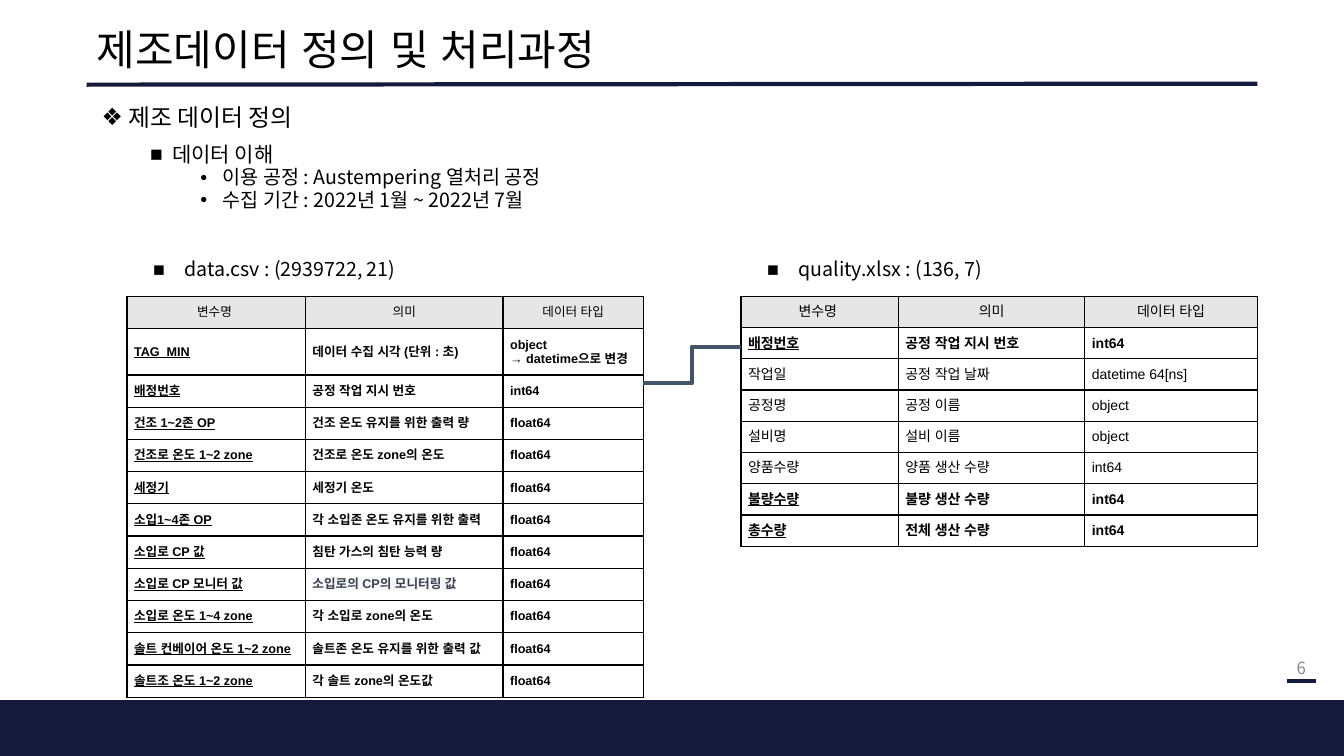
from dataclasses import dataclass

from lxml.etree import SubElement
from pptx import Presentation
from pptx.dml.color import RGBColor as Color
from pptx.enum.shapes import MSO_CONNECTOR as Connector, MSO_SHAPE as Shape
from pptx.enum.text import MSO_ANCHOR as Anchor, PP_ALIGN as Align
from pptx.oxml import parse_xml
from pptx.oxml.ns import nsdecls, qn
from pptx.util import Inches, Pt


@dataclass(frozen=True)
class Theme:
    navy: str = "141A3C"
    black: str = "000000"
    header: str = "E7E6E6"
    gray: str = "888888"
    slate: str = "44546A"
    quote: str = "374151"
    quote_back: str = "F7F7F8"
    title_font: str = "Arial"
    body_font: str = "Noto Sans CJK KR"
    title: int = 30
    heading: int = 17
    subheading: int = 15
    item: int = 14
    number: int = 12


THEME = Theme()
WIDTH, HEIGHT = 13.33, 7.5
LEFT, CONTENT = 0.86, 11.61
TABLE_WIDTH, TABLE_TOP = 5.12, 2.94
DATA_LEFT, QUALITY_LEFT = 1.26, 7.35
QUOTED = "소입로의 CP의 모니터링 값"

# Text, level, left margin, hanging indent, bullet, size, space after
OUTLINE = [
    (" 제조 데이터 정의", 0, 0.25, 0.2, "❖", THEME.heading, 8),
    ("데이터 이해", 1, 0.75, 0.22, "■", THEME.subheading, 0),
    ("이용 공정 : Austempering 열처리 공정", 2, 1.25, 0.22, "•", THEME.item, 0),
    ("수집 기간 : 2022년 1월 ~ 2022년 7월", 2, 1.25, 0.22, "•", THEME.item, 0),
]
HEADER = ("변수명 ", "의미", "데이터 타입")
DATA_ROWS = [
    ("TAG_MIN", "데이터 수집 시각 (단위 : 초)", "object\n→ datetime으로 변경"),
    ("배정번호", "공정 작업 지시 번호", "int64"),
    ("건조 1~2존 OP", "건조 온도 유지를 위한 출력 량", "float64"),
    ("건조로 온도 1~2 zone", "건조로 온도 zone의 온도", "float64"),
    ("세정기", "세정기 온도", "float64"),
    ("소입1~4존 OP", "각 소입존 온도 유지를 위한 출력", "float64"),
    ("소입로 CP 값", "침탄 가스의 침탄 능력 량", "float64"),
    ("소입로 CP 모니터 값", QUOTED, "float64"),
    ("소입로 온도 1~4 zone", "각 소입로 zone의 온도", "float64"),
    ("솔트 컨베이어 온도 1~2 zone", "솔트존 온도 유지를 위한 출력 값", "float64"),
    ("솔트조 온도 1~2 zone", "각 솔트 zone의 온도값", "float64"),
]
QUALITY_ROWS = [
    ("배정번호", "공정 작업 지시 번호", "int64"),
    ("작업일", "공정 작업 날짜", "datetime 64[ns]"),
    ("공정명", "공정 이름", "object"),
    ("설비명", "설비 이름", "object"),
    ("양품수량", "양품 생산 수량", "int64"),
    ("불량수량", "불량 생산 수량", "int64"),
    ("총수량", "전체 생산 수량", "int64"),
]
DATA_KEYS = {row[0] for row in DATA_ROWS}
QUALITY_KEYS = {"배정번호", "불량수량", "총수량"}


def style(para, size, font, color=THEME.black):
    for span in para.runs:
        span.font.size = Pt(size)
        span.font.name = font
        span.font.color.rgb = Color.from_string(color)
        SubElement(span.font._element, qn("a:ea")).set("typeface", font)


def add_text(page, box, text, inset=0.05, anchor=Anchor.TOP):
    frame = page.shapes.add_textbox(*map(Inches, box)).text_frame
    frame.word_wrap = True
    frame.vertical_anchor = anchor
    frame.margin_left = frame.margin_right = Inches(0.1)
    frame.margin_top = frame.margin_bottom = Inches(inset)
    frame.text = text
    return frame


def add_bullet(para, mark, margin, hanging):
    props = para._p.get_or_add_pPr()
    props.set("marL", str(Inches(margin)))
    props.set("indent", str(-Inches(hanging)))
    SubElement(props, qn("a:buFont")).set("typeface", "Arial")
    SubElement(props, qn("a:buChar")).set("char", mark)


def add_line(page, start, end, color, kind=Connector.STRAIGHT):
    line = page.shapes.add_connector(kind, *map(Inches, start + end))
    line.line.color.rgb = Color.from_string(color)
    line.line.width = Pt(3)
    SubElement(line._element.spPr, qn("a:effectLst"))


def add_frame(page, box):
    """Title rule, footer band and page number across the page box."""
    left, top, width, height = box
    add_line(page, (left + LEFT, top + 0.84),
             (left + LEFT + CONTENT, top + 0.83), THEME.navy)
    band = page.shapes.add_shape(Shape.RECTANGLE, *map(
        Inches, (left, top + height - 0.55, width, 0.55)))
    band.shadow.inherit = False
    band.fill.solid()
    band.fill.fore_color.rgb = band.line.color.rgb = Color.from_string(THEME.navy)
    band.line.width = Pt(1)
    right = left + width - 0.28
    add_line(page, (right - 0.29, top + 6.76), (right, top + 6.76), THEME.navy)
    number = add_text(page, (right - 3, top + 6.43, 3, 0.4), "6",
                      anchor=Anchor.MIDDLE).paragraphs[0]
    number.alignment = Align.RIGHT
    style(number, THEME.number, THEME.body_font, THEME.gray)


def add_title(page, box):
    frame = add_text(page, box, "제조데이터 정의 및 처리과정", anchor=Anchor.MIDDLE)
    frame.paragraphs[0].line_spacing = 0.9
    style(frame.paragraphs[0], THEME.title, THEME.title_font)


def add_outline(page, box):
    frame = add_text(page, box, "\n".join(row[0] for row in OUTLINE))
    for para, row in zip(frame.paragraphs, OUTLINE):
        _, level, margin, hanging, mark, size, after = row
        para.level = level
        para.line_spacing = 0.95
        para.space_after = Pt(after)
        add_bullet(para, mark, margin, hanging)
        style(para, size, THEME.body_font)


def add_borders(cell):
    props = cell._tc.get_or_add_tcPr()
    for place, side in enumerate(("lnL", "lnR", "lnT", "lnB")):
        props.insert(place, parse_xml(
            f'<a:{side} {nsdecls("a")} w="{Pt(1)}"><a:solidFill>'
            f'<a:srgbClr val="{THEME.black}"/></a:solidFill></a:{side}>'))


def highlight(span):
    mark = parse_xml(f'<a:highlight {nsdecls("a")}>'
                     f'<a:srgbClr val="{THEME.quote_back}"/></a:highlight>')
    span.font._element.find(qn("a:solidFill")).addnext(mark)


def fill_cell(cell, text, size, is_header, is_key, is_name):
    cell.text_frame.text = text
    cell.vertical_anchor = Anchor.MIDDLE
    cell.margin_left = cell.margin_right = Inches(0.07)
    cell.margin_top = cell.margin_bottom = Inches(0.07)
    if is_header:
        cell.fill.solid()
        cell.fill.fore_color.rgb = Color.from_string(THEME.header)
    else:
        cell.fill.background()
    add_borders(cell)
    for para in cell.text_frame.paragraphs:
        para.alignment = Align.CENTER if is_header else Align.LEFT
        style(para, size, THEME.title_font,
              THEME.quote if text == QUOTED else THEME.black)
        for span in para.runs:
            span.font.bold = is_key
            span.font.underline = is_key and is_name
            if text == QUOTED:
                highlight(span)


def add_variables(page, box, caption, rows, keys, columns, row_height, size):
    """Bulleted caption above a table of variables, whose box is given."""
    left, top, width, height = box
    para = add_text(page, (left, top - 0.46, 3.28, 0.41), caption, 0.1).paragraphs[0]
    para.line_spacing = 0.9
    add_bullet(para, "■", 0.47, 0.31)
    style(para, THEME.item, THEME.body_font)

    table = page.shapes.add_table(len(rows) + 1, len(columns),
                                  *map(Inches, (left, top, width, height))).table
    table.first_row = table.horz_banding = False
    for column, share in zip(table.columns, columns):
        column.width = Inches(share)
    for index, texts in enumerate([HEADER] + rows):
        extra_lines = max(text.count("\n") for text in texts)
        table.rows[index].height = Inches(row_height + 0.14 * extra_lines)
        for place, text in enumerate(texts):
            fill_cell(table.cell(index, place), text, size,
                      index == 0, texts[0] in keys, place == 0)


def main():
    deck = Presentation()
    deck.slide_width, deck.slide_height = Inches(WIDTH), Inches(HEIGHT)
    page = deck.slides.add_slide(deck.slide_layouts[6])
    add_frame(page, (0, 0, WIDTH, HEIGHT))
    add_title(page, (LEFT, 0.2, CONTENT, 0.64))
    add_outline(page, (LEFT, 0.99, CONTENT, 5.71))
    add_variables(page, (DATA_LEFT, TABLE_TOP, TABLE_WIDTH, 3.98),
                  "data.csv : (2939722, 21)", DATA_ROWS, DATA_KEYS,
                  (1.77, 1.96, 1.39), 0.32, 9)
    add_variables(page, (QUALITY_LEFT, TABLE_TOP, TABLE_WIDTH, 2.46),
                  "quality.xlsx : (136, 7)", QUALITY_ROWS, QUALITY_KEYS,
                  (1.56, 1.85, 1.71), 0.31, 10)
    # Link between the two order number rows
    add_line(page, (DATA_LEFT + TABLE_WIDTH, 3.8), (QUALITY_LEFT, 3.44),
             THEME.slate, Connector.ELBOW)
    deck.save("out.pptx")


if __name__ == "__main__":
    main()
